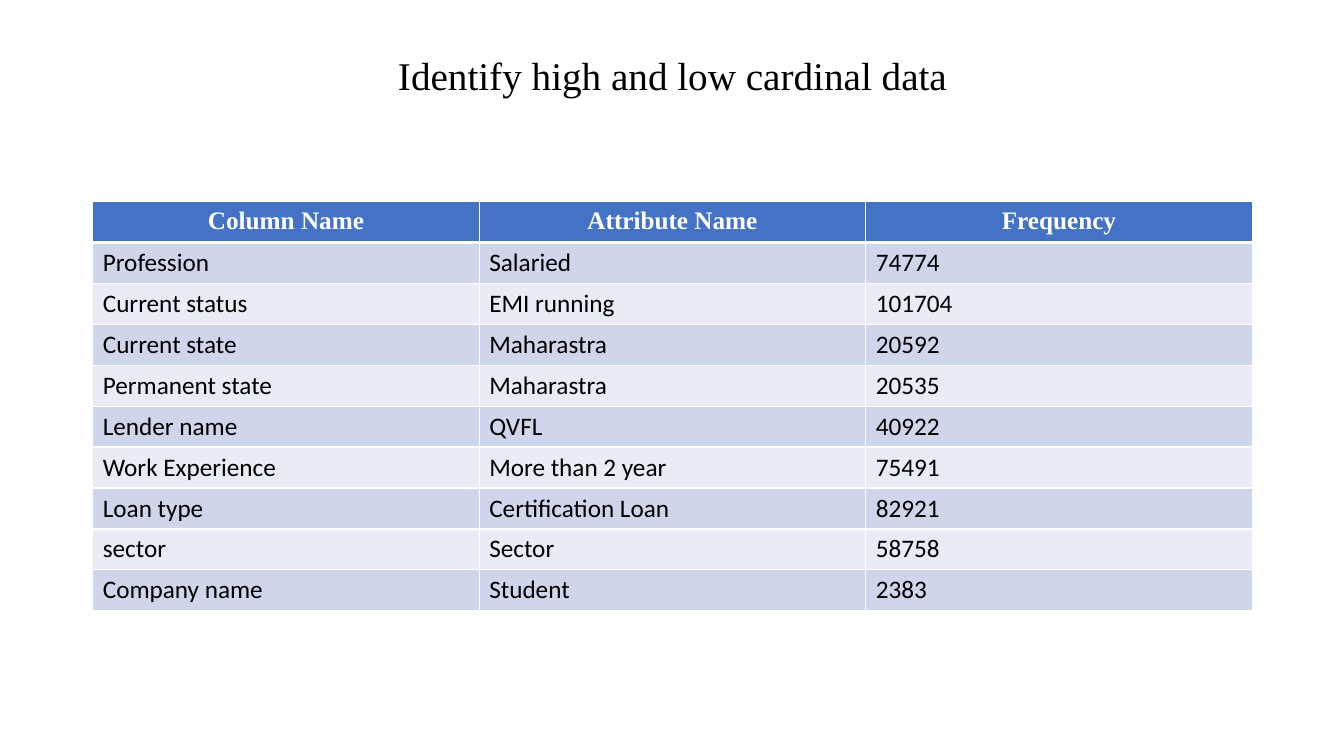
from lxml.etree import SubElement
from pptx import Presentation
from pptx.dml.color import RGBColor
from pptx.enum.text import MSO_ANCHOR, PP_ALIGN
from pptx.oxml.ns import qn
from pptx.util import Inches, Pt


def color(value):
    return RGBColor.from_string(value)


def add_border(cell, side, width):
    ln = SubElement(cell._tc.get_or_add_tcPr(), qn(f"a:ln{side}"), w=str(Pt(width)))
    fill = SubElement(ln, qn("a:solidFill"))
    SubElement(fill, qn("a:srgbClr"), val="FFFFFF")


ROWS = [
    ("Column Name", "Attribute Name", "Frequency"),
    ("Profession", "Salaried", "74774"),
    ("Current status", "EMI running", "101704"),
    ("Current state", "Maharastra", "20592"),
    ("Permanent state", "Maharastra", "20535"),
    ("Lender name", "QVFL", "40922"),
    ("Work Experience", "More than 2 year", "75491"),
    ("Loan type", "Certification Loan", "82921"),
    ("sector", "Sector", "58758"),
    ("Company name", "Student", "2383"),
]

prs = Presentation()
prs.slide_width = Inches(13.33)
prs.slide_height = Inches(7.5)
s = prs.slides.add_slide(prs.slide_layouts[5])

title = s.shapes.title
title.left, title.top = Inches(0.92), Inches(0.4)
title.width, title.height = Inches(11.5), Inches(1.45)
tf = title.text_frame
tf.text = "Identify high and low cardinal data"
tf.vertical_anchor = MSO_ANCHOR.MIDDLE
tf.margin_bottom = Inches(0.75)
p = tf.paragraphs[0]
p.alignment = PP_ALIGN.CENTER
p.line_spacing = 0.9
p.font.name = "Times New Roman"
p.font.size = Pt(28)
p.font.color.rgb = color("000000")

table = s.shapes.add_table(
    len(ROWS), 3, Inches(0.92), Inches(2), Inches(11.5), Inches(4.06)
).table

for i, values in enumerate(ROWS):
    header = i == 0
    for j, value in enumerate(values):
        cell = table.cell(i, j)
        for side in "LRT":
            add_border(cell, side, 3 if i == 1 and side == "T" else 1)
        add_border(cell, "B", 3 if header else 1)
        cell.fill.solid()
        band = "CFD5EA" if i % 2 else "E9EBF5"
        cell.fill.fore_color.rgb = color("4472C4" if header else band)
        cell.text = value
        p = cell.text_frame.paragraphs[0]
        p.alignment = PP_ALIGN.CENTER if header else PP_ALIGN.LEFT
        p.font.name = "Times New Roman" if header else "Calibri"
        p.font.size = Pt(18)
        p.font.bold = header
        p.font.color.rgb = color("FFFFFF" if header else "000000")

prs.save("out.pptx")
